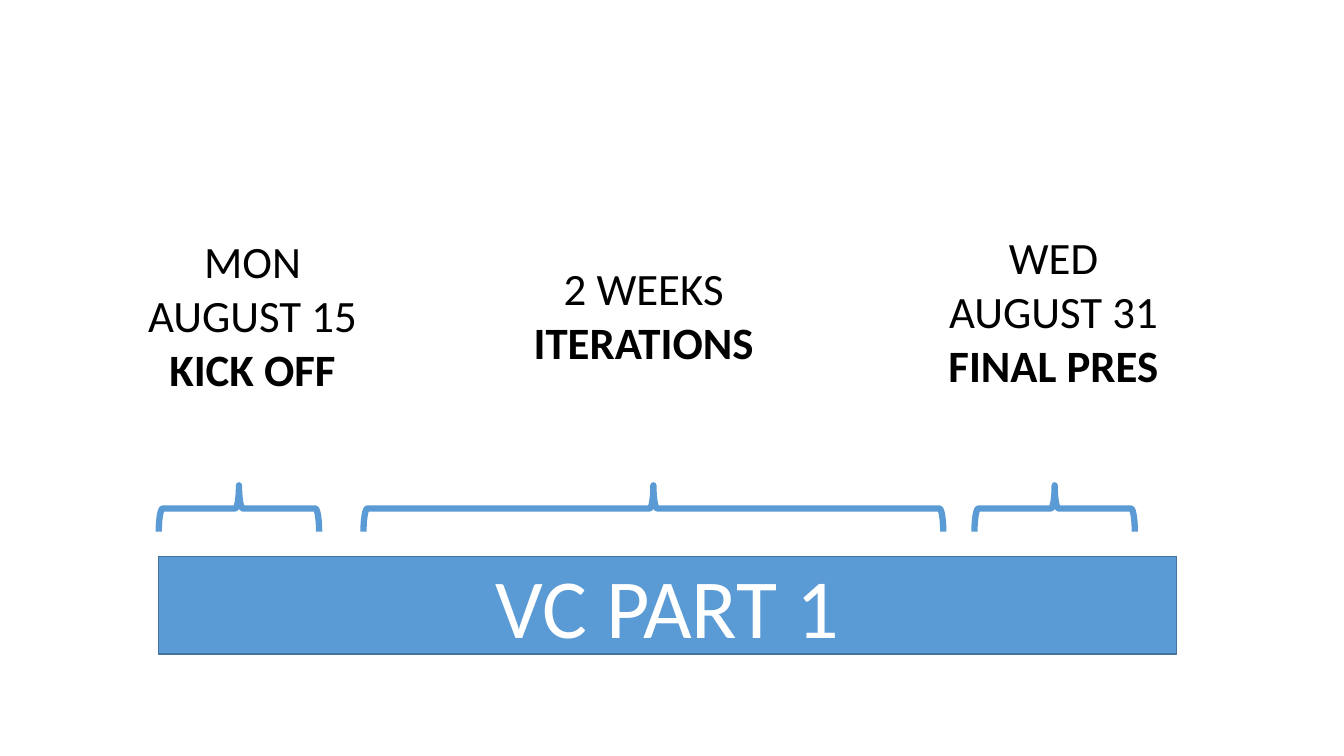
import pptx
import pptx.util
import pptx.dml.color
import pptx.enum.shapes
import pptx.enum.text

Inches = pptx.util.Inches
Pt = pptx.util.Pt
RGBColor = pptx.dml.color.RGBColor
KIND = pptx.enum.shapes.MSO_SHAPE
CENTER = pptx.enum.text.PP_ALIGN.CENTER

BLUE = RGBColor(0x5B, 0x9B, 0xD5)
NAVY = RGBColor(0x43, 0x73, 0x9E)
WHITE = RGBColor(0xFF, 0xFF, 0xFF)
BLACK = RGBColor(0x00, 0x00, 0x00)


def write(para, text, style):
    para.alignment = CENTER
    run = para.add_run()
    run.text = text
    run.font.name = "Calibri"
    run.font.color.rgb = style["color"]
    for key in ("size", "bold"):
        setattr(run.font, key, style[key])


deck = pptx.Presentation()
deck.slide_width = Inches(13.33)
deck.slide_height = Inches(7.5)
slide = deck.slides.add_slide(deck.slide_layouts[6])

bar = slide.shapes.add_shape(
    KIND.RECTANGLE, Inches(1.57), Inches(5.52), Inches(10.1), Inches(0.97))
bar.shadow.inherit = False
bar.fill.solid()
bar.fill.fore_color.rgb = BLUE
bar.line.color.rgb = NAVY
bar.line.width = Pt(1)
bar.text_frame.vertical_anchor = pptx.enum.text.MSO_ANCHOR.MIDDLE
write(bar.text_frame.paragraphs[0], "VC PART 1",
      {"size": Pt(60), "bold": False, "color": WHITE})

labels = [
    (1.36, 2.27, 2.29, 1.72, ["MON", "AUGUST 15", "KICK OFF"]),
    (5.18, 2.54, 2.41, 1.18, ["2 WEEKS", "ITERATIONS"]),
    (9.27, 2.23, 2.36, 1.72, ["WED", "AUGUST 31", "FINAL PRES"]),
]
for left, top, width, height, lines in labels:
    box = slide.shapes.add_textbox(
        Inches(left), Inches(top), Inches(width), Inches(height))
    frame = box.text_frame
    frame.word_wrap = False
    frame.auto_size = pptx.enum.text.MSO_AUTO_SIZE.SHAPE_TO_FIT_TEXT
    for row, text in enumerate(lines):
        para = frame.add_paragraph() if row else frame.paragraphs[0]
        write(para, text, {"size": Pt(32), "bold": text == lines[-1],
                           "color": BLACK})

depth = 0.46
middle = 5.045
for center, span in [(2.37, 1.59), (6.48, 5.75), (10.46, 1.59)]:
    brace = slide.shapes.add_shape(
        KIND.LEFT_BRACE, Inches(center - depth / 2), Inches(middle - span / 2),
        Inches(depth), Inches(span))
    brace.rotation = 90
    brace.shadow.inherit = False
    brace.fill.background()
    brace.line.color.rgb = BLUE
    brace.line.width = Pt(4.5)

deck.save("out.pptx")
